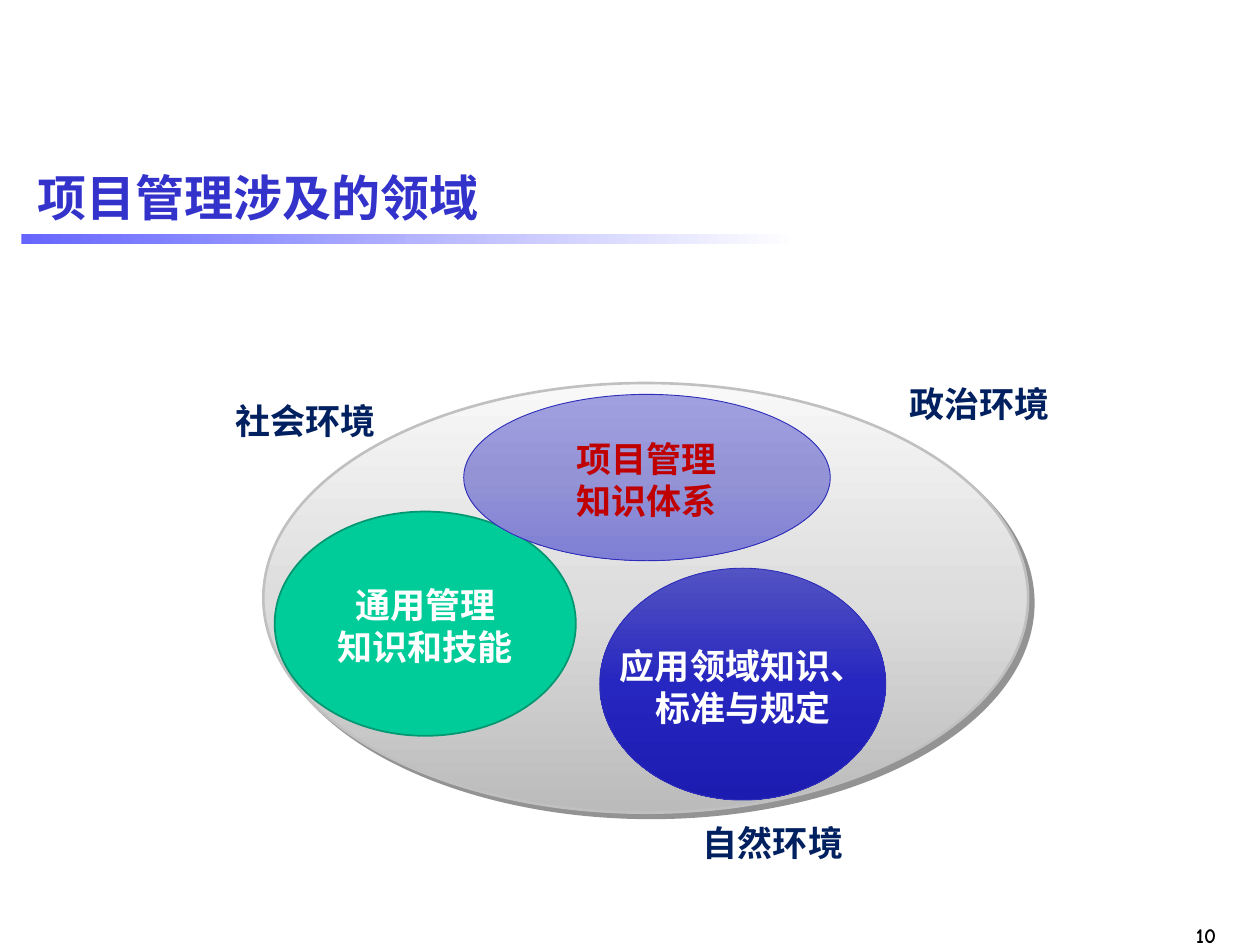
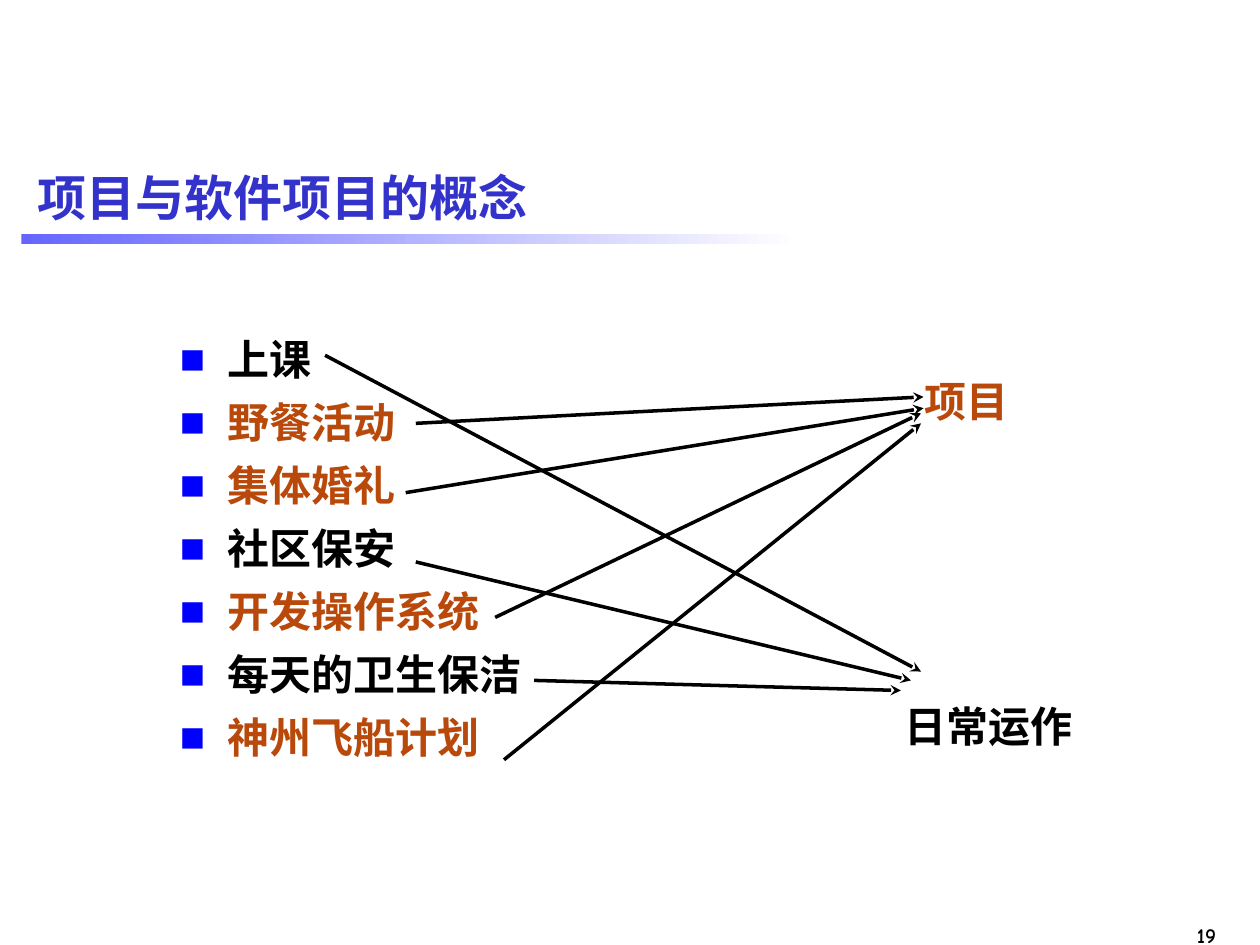
from dataclasses import dataclass

from lxml import etree
from pptx import Presentation
from pptx.dml.color import RGBColor
from pptx.enum import shapes, text
from pptx.oxml import ns
from pptx.util import Inches, Pt


@dataclass(frozen=True)
class Theme:
    """Colours, fonts and type sizes of the deck."""
    title: str = "3333CC"
    band: tuple = ("6666FF", "FFFFFF")
    black: str = "000000"
    white: str = "FFFFFF"
    navy: str = "002060"
    red: str = "C00000"
    rust: str = "B9490B"
    bullet: str = "0000FF"
    green: str = "00CC99"
    green_edge: str = "009771"
    blue_edge: str = "2D2DB9"
    deep_blue: tuple = ("5353C3", "2626C0", "1C1CB1")
    pale_blue: tuple = ("A0A0E1", "9393D6", "7F7FD5")
    silver: tuple = ("F8F8F8", "DDDDDD", "BBBBBB")
    silver_edge: str = "C0C0C0"
    shadow: str = "292929"
    cjk: str = "Noto Sans CJK SC"
    heading: str = "Arial"
    narrow: str = "Arial Narrow"
    number: str = "Comic Neue"
    title_size: int = 28
    item_size: int = 24
    label_size: int = 20
    number_size: int = 12
    leading: float = 1.2


THEME = Theme()


def rgb(value):
    """Turn a hex string into a colour."""
    return RGBColor.from_string(value)


def add_xml(parent, tag, **attributes):
    """Append a DrawingML element and return it."""
    return etree.SubElement(parent, ns.qn(f"a:{tag}"), attributes)


def add_bullet(para, color, hang=0.38):
    """Give a paragraph a square bullet and a hanging indent."""
    properties = para._p.get_or_add_pPr()
    properties.set("marL", str(Inches(hang)))
    properties.set("indent", str(-Inches(hang)))
    add_xml(add_xml(properties, "buClr"), "srgbClr", val=color)
    add_xml(properties, "buFont", typeface="Arial")
    add_xml(properties, "buChar", char="■")


def write(frame, lines, size=THEME.label_size, color=THEME.black, font=THEME.cjk,
          align=text.PP_ALIGN.LEFT, anchor=text.MSO_ANCHOR.TOP, wrap=True,
          gap=0, bullet=None):
    """Fill a text frame with lines, each a string or a (string, colour) pair."""
    frame.word_wrap = wrap
    frame.auto_size = text.MSO_AUTO_SIZE.NONE
    frame.vertical_anchor = anchor
    frame.margin_left = frame.margin_right = Inches(0.1)
    frame.margin_top, frame.margin_bottom = Inches(0.08), Inches(0.05)
    for index, line in enumerate(lines):
        words, shade = (line, color) if isinstance(line, str) else line
        para = frame.add_paragraph() if index else frame.paragraphs[0]
        if bullet:
            add_bullet(para, bullet)
        para.alignment = align
        para.line_spacing = Pt(size * THEME.leading)
        para.space_before = Pt(gap if index else 0)
        span = para.add_run()
        span.text = words
        span.font.size, span.font.bold, span.font.name = Pt(size), True, font
        span.font.color.rgb = rgb(shade)
        add_xml(span._r.get_or_add_rPr(), "ea", typeface=THEME.cjk)


def add_text(page, place, lines, **style):
    """Add a text box at (left, top, width, height)."""
    box = page.shapes.add_textbox(*map(Inches, place))
    write(box.text_frame, lines, **style)


def paint(shape, colors, angle):
    """Fill a shape with one colour or with evenly spaced gradient stops."""
    if isinstance(colors, str):
        shape.fill.solid()
        shape.fill.fore_color.rgb = rgb(colors)
        return
    shape.fill.gradient()
    shape.fill.gradient_angle = angle
    stops = shape._element.spPr.find(".//" + ns.qn("a:gsLst"))
    for stop in list(stops):
        stops.remove(stop)
    for index, color in enumerate(colors):
        position = round(100000 * index / (len(colors) - 1))
        add_xml(add_xml(stops, "gs", pos=str(position)), "srgbClr", val=color)


def add_figure(page, kind, place, colors, edge=None, width=0.5, angle=270):
    """Add a preset shape with its fill and outline."""
    shape = page.shapes.add_shape(kind, *map(Inches, place))
    shape.shadow.inherit = False
    paint(shape, colors, angle)
    if edge:
        shape.line.color.rgb = rgb(edge)
        shape.line.width = Pt(width)
    else:
        shape.line.fill.background()
    return shape


def add_oval(page, place, colors, edge, lines=(), color=THEME.white, width=0.5):
    """Add an ellipse with centred lines of text."""
    oval = add_figure(page, shapes.MSO_SHAPE.OVAL, place, colors, edge, width)
    if lines:
        write(oval.text_frame, lines, color=color, wrap=False,
              align=text.PP_ALIGN.CENTER, anchor=text.MSO_ANCHOR.MIDDLE)
    return oval


def cast_shadow(shape):
    """Give a shape a hard shadow to the lower right."""
    effects = shape._element.spPr.find(ns.qn("a:effectLst"))
    shadow = add_xml(effects, "outerShdw", blurRad="0", dist=str(Pt(4.2)),
                     dir="2700000", algn="ctr", rotWithShape="0")
    color = add_xml(shadow, "srgbClr", val=THEME.shadow)
    add_xml(color, "alpha", val="50000")


def add_arrow(page, start, end):
    """Draw a black line with a stealth head at its end."""
    arrow = page.shapes.add_connector(shapes.MSO_CONNECTOR.STRAIGHT,
                                      *map(Inches, start + end))
    arrow.line.color.rgb = rgb(THEME.black)
    arrow.line.width = Pt(2)
    add_xml(arrow.line._get_or_add_ln(), "tailEnd", type="stealth")
    add_xml(arrow._element.spPr, "effectLst")


def add_page(deck, title, number):
    """Add a slide with the shared title, band and page number."""
    page = deck.slides.add_slide(deck.slide_layouts[5])
    add_text(page, (9.2, 7.24, 0.55, 0.3), [number], size=THEME.number_size,
             font=THEME.number, align=text.PP_ALIGN.RIGHT)
    add_figure(page, shapes.MSO_SHAPE.RECTANGLE, (0.17, 1.86, 6.17, 0.08),
               THEME.band, angle=0)
    heading = page.shapes.title
    heading.left, heading.top, heading.width, heading.height = map(
        Inches, (0.2, 1.15, 9.61, 0.79))
    write(heading.text_frame, [title], size=THEME.title_size, color=THEME.title,
          font=THEME.heading, anchor=text.MSO_ANCHOR.MIDDLE)
    return page


def add_fields_page(deck):
    """Show the knowledge fields inside their environments."""
    page = add_page(deck, "项目管理涉及的领域", "10")
    cast_shadow(add_oval(page, (2.09, 3.04, 6.07, 3.41), THEME.silver,
                         THEME.silver_edge, width=1.5))
    add_oval(page, (2.18, 4.06, 2.39, 1.78), THEME.green, THEME.green_edge,
             ["通用管理", "知识和技能"], width=1)
    add_oval(page, (4.76, 4.51, 2.27, 1.84), THEME.deep_blue, THEME.blue_edge,
             ["应用领域知识、", "标准与规定"])
    add_oval(page, (3.68, 3.13, 2.91, 1.32), THEME.pale_blue, THEME.blue_edge,
             ["项目管理", "知识体系"], color=THEME.red)
    environments = {"社会环境": (1.77, 3.09), "政治环境": (7.12, 2.96),
                    "自然环境": (5.48, 6.44)}
    for name, corner in environments.items():
        add_text(page, corner + (1.58, 0.44), [name], color=THEME.navy)


def add_concept_page(deck):
    """Sort activities into projects and daily operations."""
    page = add_page(deck, "项目与软件项目的概念", "19")
    project, routine = THEME.rust, THEME.black
    activities = [
        ("上课", routine, (2.58, 2.82), (7.31, 5.33)),
        ("野餐活动", project, (3.3, 3.36), (7.33, 3.15)),
        ("集体婚礼", project, (3.22, 3.91), (7.33, 3.24)),
        ("社区保安", routine, (3.3, 4.46), (7.23, 5.4)),
        ("开发操作系统", project, (3.93, 4.9), (7.31, 3.28)),
        ("每天的卫生保洁", routine, (4.24, 5.4), (7.15, 5.48)),
        ("神州飞船计划", project, (4, 6.03), (7.31, 3.36)),
    ]
    for name, color, corner in (("日常运作", routine, (7.08, 5.48)),
                                ("项目", project, (7.24, 2.9))):
        add_text(page, corner + (2.17, 0.5), [name], size=THEME.item_size,
                 color=color, font=THEME.narrow)
    add_text(page, (1.33, 2.57, 3.5, 4.5), [activity[:2] for activity in activities],
             size=THEME.item_size, gap=0.3 * THEME.item_size, bullet=THEME.bullet)
    for _, _, start, end in activities:
        add_arrow(page, start, end)


def main():
    """Build and save the deck."""
    deck = Presentation()
    deck.slide_width, deck.slide_height = Inches(10), Inches(7.5)
    add_fields_page(deck)
    add_concept_page(deck)
    deck.save("out.pptx")


if __name__ == "__main__":
    main()
